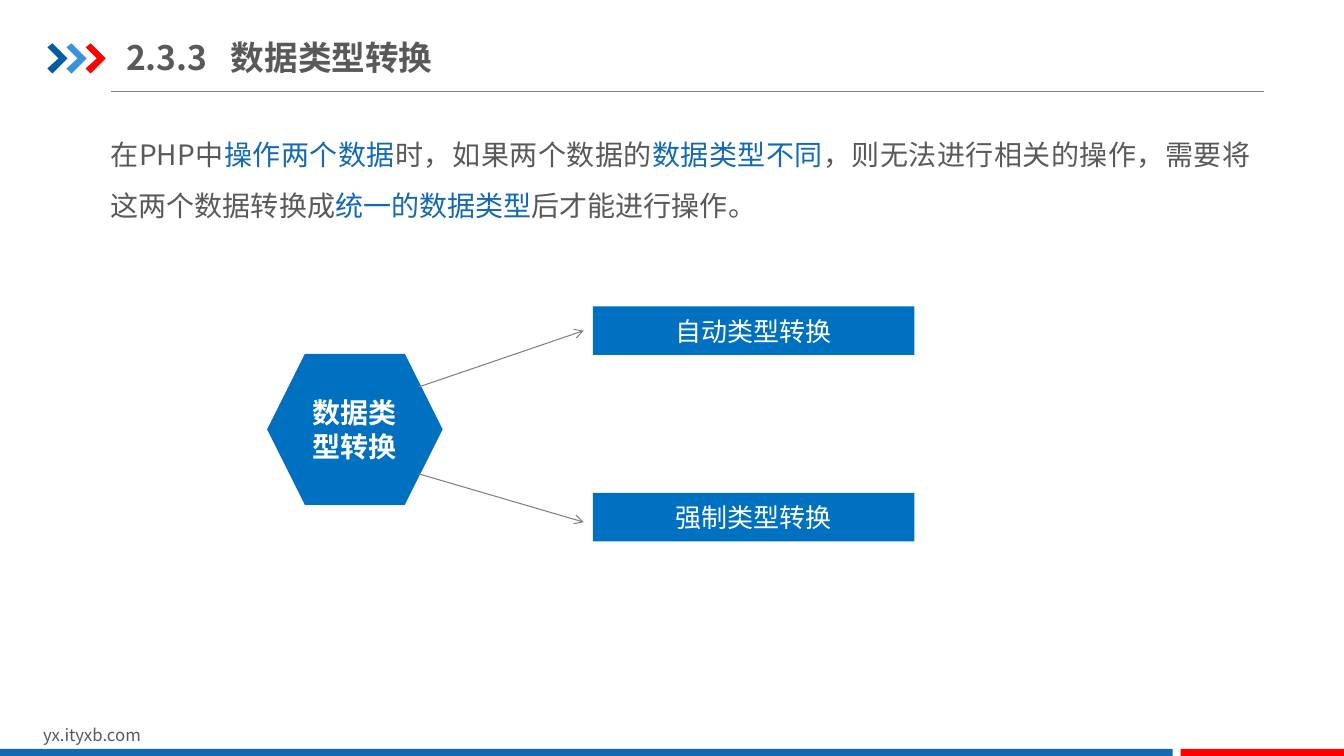
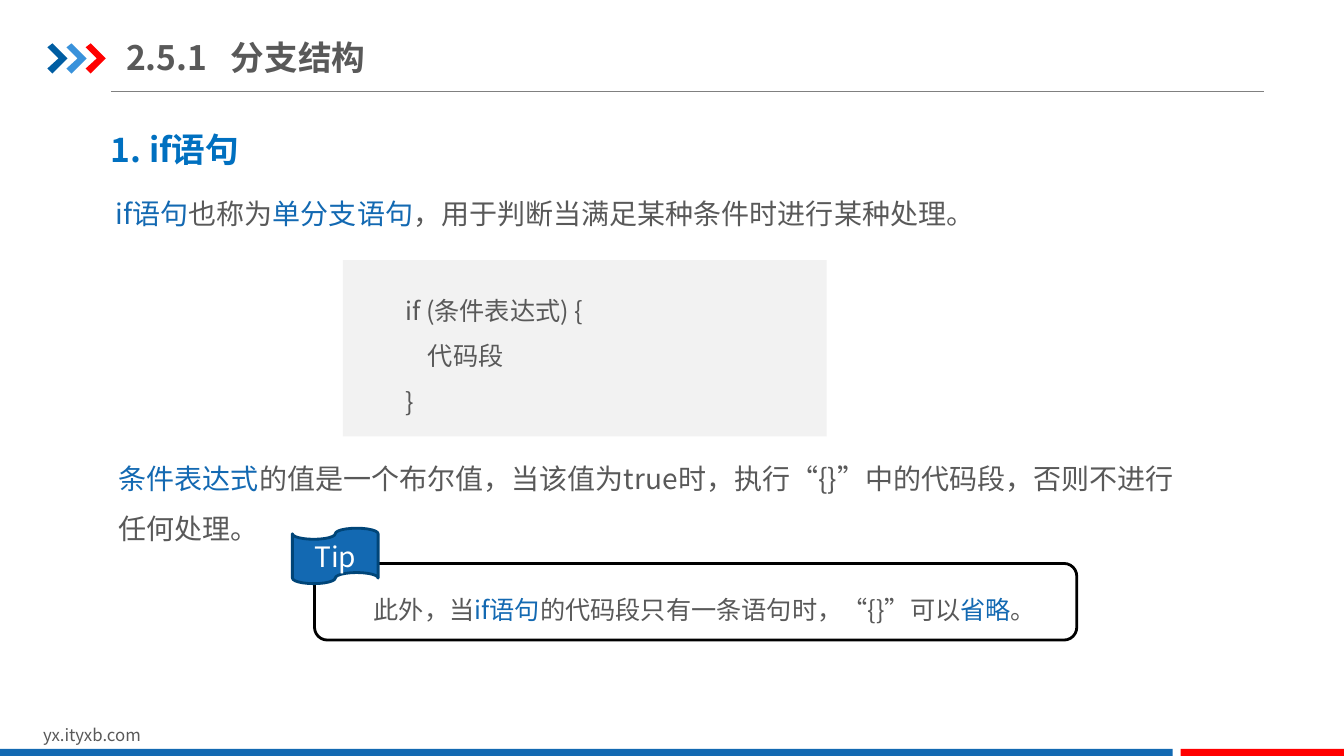
from lxml import etree
from pptx import Presentation
from pptx.dml.color import RGBColor
from pptx.enum.lang import MSO_LANGUAGE_ID
from pptx.enum.shapes import MSO_CONNECTOR, MSO_SHAPE
from pptx.enum.text import MSO_ANCHOR, PP_ALIGN
from pptx.oxml.ns import qn
from pptx.util import Inches, Pt

FONT = "Noto Sans CJK SC"
WHITE = RGBColor(0xFF, 0xFF, 0xFF)
BLACK = RGBColor(0x00, 0x00, 0x00)
TEXT_GRAY = RGBColor(0x59, 0x59, 0x59)
LINE_GRAY = RGBColor(0x80, 0x80, 0x80)
CODE_GRAY = RGBColor(0xF2, 0xF2, 0xF2)
BLUE = RGBColor(0x13, 0x69, 0xB2)
BRIGHT_BLUE = RGBColor(0x00, 0x70, 0xC0)
DARK_BLUE = RGBColor(0x00, 0x45, 0x78)
RED = RGBColor(0xFF, 0x00, 0x00)
CHEVRON_COLORS = (RGBColor(0x00, 0x5D, 0xA2), RGBColor(0x39, 0x92, 0xDB), RED)
CHEVRON_OUTLINE = ((0, 0.04), (0.05, 0), (0.2, 0.15), (0.05, 0.3), (0, 0.25), (0.11, 0.15))
TITLE_ONLY = 5


def add_span(para, text, size, color=TEXT_GRAY, bold=False):
    span = para.add_run()
    span.text = text
    font = span.font
    font.name, font.size, font.bold = FONT, Pt(size), bold
    font.color.rgb = color
    font.language_id = MSO_LANGUAGE_ID.SIMPLIFIED_CHINESE
    etree.SubElement(font._element, qn("a:ea")).set("typeface", FONT)


def write(frame, paragraphs, size, bold=False, align=PP_ALIGN.LEFT, spacing=1.0):
    """Fill a text frame; each paragraph is a list of (text, color) pairs."""
    frame.word_wrap = True
    for index, spans in enumerate(paragraphs):
        para = frame.add_paragraph() if index else frame.paragraphs[0]
        para.alignment = align
        para.line_spacing = spacing
        for text, color in spans:
            add_span(para, text, size, color, bold)


def add_text(slide, area, spans, size, **style):
    box = slide.shapes.add_textbox(*map(Inches, area))
    write(box.text_frame, [spans], size, **style)


def add_box(slide, kind, area, fill=None, line=None):
    box = slide.shapes.add_shape(kind, *map(Inches, area))
    box.shadow.inherit = False
    if fill is None:
        box.fill.background()
    else:
        box.fill.solid()
        box.fill.fore_color.rgb = fill
    if line is None:
        box.line.fill.background()
    else:
        box.line.color.rgb = line
        box.line.width = Pt(2)
    box.text_frame.vertical_anchor = MSO_ANCHOR.MIDDLE
    return box


def add_label(slide, kind, area, text, size, fill, line=None, bold=False):
    box = add_box(slide, kind, area, fill, line)
    write(box.text_frame, [[(text, WHITE)]], size, bold, PP_ALIGN.CENTER)


def add_line(slide, start, end, arrow=False):
    line = slide.shapes.add_connector(MSO_CONNECTOR.STRAIGHT, *map(Inches, start + end))
    line.line.color.rgb = LINE_GRAY
    line.line.width = Pt(0.75)
    if arrow:
        etree.SubElement(line.line._get_or_add_ln(), qn("a:tailEnd")).set("type", "arrow")
    etree.SubElement(line._element.spPr, qn("a:effectLst"))


def add_chevron(slide, left, top, color):
    points = [(Inches(left + x), Inches(top + y)) for x, y in CHEVRON_OUTLINE]
    builder = slide.shapes.build_freeform(*points[0])
    builder.add_line_segments(points[1:], close=True)
    chevron = builder.convert_to_shape()
    chevron.shadow.inherit = False
    chevron.fill.solid()
    chevron.fill.fore_color.rgb = color
    chevron.line.fill.background()


def dress_layout(slide):
    """Draw the shared decoration on a slide and move it to the slide's layout."""
    layout = slide.slide_layout
    title = layout.placeholders[0]
    title.left, title.top, title.width, title.height = map(Inches, (1.25, 0.29, 4.26, 0.55))
    add_line(slide, (1.1, 0.91), (12.54, 0.91))
    for index, color in enumerate(CHEVRON_COLORS):
        add_chevron(slide, 0.47 + 0.19 * index, 0.43, color)
    add_text(slide, (0.33, 7.14, 3.18, 0.3), [("yx.ityxb.com", TEXT_GRAY)], 12)
    add_box(slide, MSO_SHAPE.RECTANGLE, (0, 7.43, 11.63, 0.09), BLUE)
    add_box(slide, MSO_SHAPE.RECTANGLE, (11.71, 7.43, 1.63, 0.09), RED)
    for shape in list(slide.shapes):
        if not shape.is_placeholder:
            layout.shapes._spTree.append(shape._element)


def set_title(slide, number, name):
    frame = slide.shapes.title.text_frame
    frame.margin_left = frame.margin_right = 0
    frame.vertical_anchor = MSO_ANCHOR.MIDDLE
    tabs = etree.SubElement(frame.paragraphs[0]._p.get_or_add_pPr(), qn("a:tabLst"))
    etree.SubElement(tabs, qn("a:tab"), pos=str(Inches(1.04)), algn="l")
    write(frame, [[(f"{number}\t{name}", TEXT_GRAY)]], 24, bold=True)


def build_conversion_slide(slide):
    set_title(slide, "2.3.3", "数据类型转换")
    add_text(slide, (1, 1.15, 11.5, 1.11), [
        ("在PHP中", TEXT_GRAY),
        ("操作两个数据", BLUE),
        ("时，如果两个数据的", TEXT_GRAY),
        ("数据类型不同", BLUE),
        ("，则无法进行相关的操作，需要将这两个数据转换成", TEXT_GRAY),
        ("统一的数据类型", BLUE),
        ("后才能进行操作。", TEXT_GRAY),
    ], 20, align=PP_ALIGN.JUSTIFY, spacing=1.5)
    add_label(slide, MSO_SHAPE.HEXAGON, (2.65, 3.51, 1.74, 1.5), "数据类型转换", 20,
              BRIGHT_BLUE, bold=True)
    branches = (("自动类型转换", 3.04, 3.84, 3.28), ("强制类型转换", 4.89, 4.7, 5.18))
    for text, top, arrow_start, arrow_end in branches:
        add_label(slide, MSO_SHAPE.RECTANGLE, (5.88, top, 3.19, 0.48), text, 18.6, BRIGHT_BLUE)
        add_line(slide, (4.15, arrow_start), (5.79, arrow_end), arrow=True)


def build_branch_slide(slide):
    set_title(slide, "2.5.1", "分支结构")
    add_text(slide, (1, 1.23, 4.38, 0.5), [("1. if语句", BRIGHT_BLUE)], 24, bold=True)
    add_text(slide, (1.05, 1.9, 10.74, 0.44), [
        ("if语句", BLUE),
        ("也称为", TEXT_GRAY),
        ("单分支语句", BLUE),
        ("，用于判断当满足某种条件时进行某种处理。", TEXT_GRAY),
    ], 20, align=PP_ALIGN.JUSTIFY)

    code = add_box(slide, MSO_SHAPE.RECTANGLE, (3.4, 2.58, 4.8, 1.75), CODE_GRAY).text_frame
    code.margin_left = Inches(0.62)
    code_lines = ("if (条件表达式) {", "    代码段", "}")
    write(code, [[(line, TEXT_GRAY)] for line in code_lines], 18, spacing=1.5)

    add_text(slide, (1.08, 4.36, 10.79, 1.11), [
        ("条件表达式", BLUE),
        ("的值是一个布尔值，当该值为true时，执行“{}”中的代码段，否则不进行任何处理。", TEXT_GRAY),
    ], 20, spacing=1.5)

    tip = add_box(slide, MSO_SHAPE.ROUNDED_RECTANGLE, (3.12, 5.59, 7.56, 0.76), line=BLACK).text_frame
    tip.margin_left, tip.margin_right = Inches(0.55), Inches(0.05)
    write(tip, [[
        ("此外，当", TEXT_GRAY),
        ("if语句", BLUE),
        ("的代码段只有一条语句时，“{}”可以", TEXT_GRAY),
        ("省略", BLUE),
        ("。", TEXT_GRAY),
    ]], 18, spacing=1.5)
    add_label(slide, MSO_SHAPE.FLOWCHART_PUNCHED_TAPE, (2.9, 5.24, 0.85, 0.55), "Tip", 20,
              BLUE, DARK_BLUE)


def main():
    deck = Presentation()
    deck.slide_width, deck.slide_height = Inches(13.33), Inches(7.5)
    layout = deck.slide_layouts[TITLE_ONLY]
    pages = [deck.slides.add_slide(layout) for _ in range(2)]
    dress_layout(pages[0])
    build_conversion_slide(pages[0])
    build_branch_slide(pages[1])
    deck.save("out.pptx")


if __name__ == "__main__":
    main()
